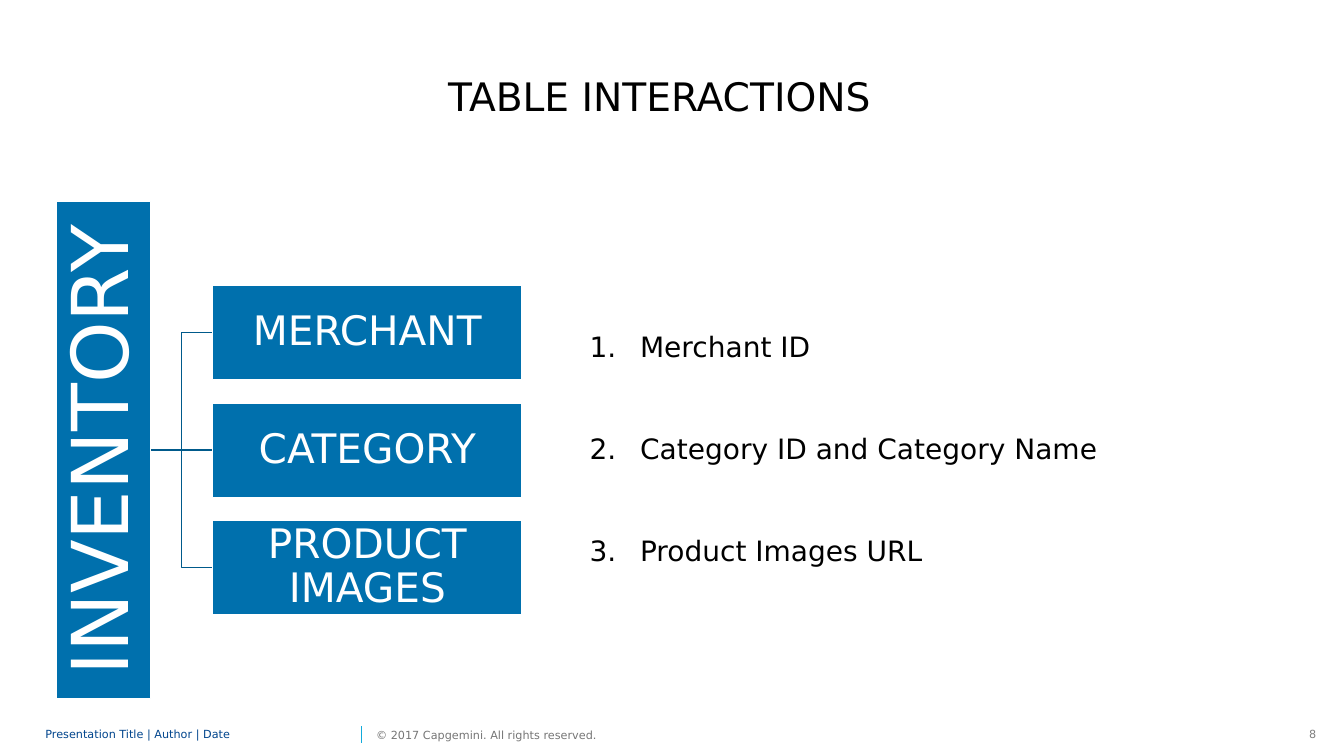
from lxml.etree import SubElement
from pptx import Presentation
from pptx.dml.color import RGBColor
from pptx.enum.shapes import MSO_CONNECTOR, MSO_SHAPE
from pptx.enum.text import MSO_ANCHOR, MSO_AUTO_SIZE, PP_ALIGN
from pptx.oxml.ns import qn
from pptx.util import Pt

FONT = "DejaVu Sans"
COLORS = {
    "box": "0070AD", "branch": "005A8B", "white": "FFFFFF", "black": "000000",
    "divider": "12ABDB", "footer": "00458D", "copyright": "767676", "number": "808080",
}


def color(name):
    return RGBColor.from_string(COLORS[name])


def style(paragraph, size, ink, align=PP_ALIGN.LEFT, spacing=1.0):
    paragraph.alignment = align
    paragraph.line_spacing = spacing
    paragraph.space_before = paragraph.space_after = Pt(0)
    font = paragraph.font
    font.name, font.size, font.color.rgb = FONT, Pt(size), color(ink)


def set_frame(frame, inset=None, anchor=MSO_ANCHOR.MIDDLE, wrap=True):
    frame.word_wrap, frame.vertical_anchor = wrap, anchor
    frame.auto_size = MSO_AUTO_SIZE.NONE
    if inset is not None:
        frame.margin_left = frame.margin_right = Pt(inset)
        frame.margin_top = frame.margin_bottom = Pt(inset)


def place(shape, left, top, width, height):
    shape.left, shape.top = Pt(left), Pt(top)
    shape.width, shape.height = Pt(width), Pt(height)


def add_title(slide, text, box):
    title = slide.shapes.title
    place(title, *box)
    set_frame(title.text_frame)
    title.text_frame.text = text
    style(title.text_frame.paragraphs[0], 28, "black", PP_ALIGN.CENTER)


def add_line(slide, kind, start, end, ink):
    line = slide.shapes.add_connector(kind, *map(Pt, start + end))
    line.line.color.rgb, line.line.width = color(ink), Pt(1)
    SubElement(line._element.spPr, qn("a:effectLst"))


def add_node(slide, text, box, size, inset, rotation=0):
    node = slide.shapes.add_shape(MSO_SHAPE.RECTANGLE, *map(Pt, box))
    node.rotation = rotation
    node.shadow.inherit = False
    node.fill.solid()
    node.fill.fore_color.rgb = color("box")
    node.line.color.rgb, node.line.width = color("white"), Pt(1)
    set_frame(node.text_frame, inset)
    node.text_frame.text = text
    style(node.text_frame.paragraphs[0], size, "white", PP_ALIGN.CENTER, 0.9)


def add_hierarchy(slide, root, tables, box):
    """Upright root bar on the left, linked to a column of table boxes."""
    left, top, width, height = box
    thick, pitch, branch = 67.5, 84, 44.5
    middle = top + height / 2
    table_left = left + thick + branch
    centers = [middle + (i - (len(tables) - 1) / 2) * pitch for i in range(len(tables))]

    # Branches
    for center in centers:
        kind = MSO_CONNECTOR.STRAIGHT if center == middle else MSO_CONNECTOR.ELBOW
        add_line(slide, kind, (left + thick, middle), (table_left, center), "branch")

    # Root bar, turned to read upwards
    root_box = (left + (thick - height) / 2, middle - thick / 2, height, thick)
    add_node(slide, root, root_box, 56, 2.9, 270)

    # Table boxes
    for table, center in zip(tables, centers):
        table_box = (table_left, center - thick / 2, left + width - table_left, thick)
        add_node(slide, table, table_box, 29, 1.4)


def add_keys(slide, keys, box):
    """Numbered list of the fields that link the tables."""
    body = slide.placeholders[1]
    place(body, *box)
    frame = body.text_frame
    set_frame(frame, anchor=MSO_ANCHOR.TOP)
    frame.text = "\n".join(keys)
    for i, paragraph in enumerate(frame.paragraphs):
        properties = paragraph._p.get_or_add_pPr()
        properties.set("marL", str(Pt(36)))
        properties.set("indent", str(-Pt(36)))
        SubElement(properties, qn("a:buFont"), typeface="+mj-lt")
        SubElement(properties, qn("a:buAutoNum"), type="arabicPeriod")
        style(paragraph, 20, "black")
        if i:
            paragraph.space_before = Pt(48.8)


def add_footer(slide, box):
    left, top, width, height = box

    def add_note(text, x, note_width, ink, inset=0, align=PP_ALIGN.LEFT,
                 anchor=MSO_ANCHOR.MIDDLE, wrap=False, spacing=1.0):
        note = slide.shapes.add_textbox(Pt(x), Pt(top), Pt(note_width), Pt(height))
        set_frame(note.text_frame, inset, anchor, wrap)
        note.text_frame.text = text
        style(note.text_frame.paragraphs[0], 8, ink, align, spacing)

    add_note("Presentation Title | Author | Date", left, 222.5, "footer",
             wrap=True, spacing=0.85)
    divider = left + 226
    add_line(slide, MSO_CONNECTOR.STRAIGHT, (divider, top + 14.4), (divider, top + 2.2),
             "divider")
    add_note("© 2017 Capgemini. All rights reserved.", left + 236.2, 175, "copyright")
    add_note("8", left + width - 19.4, 19.4, "number", None, PP_ALIGN.RIGHT, MSO_ANCHOR.TOP)


def main():
    deck = Presentation()
    deck.slide_width, deck.slide_height = Pt(960), Pt(540)
    slide = deck.slides.add_slide(deck.slide_layouts[1])
    add_footer(slide, (32.4, 516.2, 915, 17.3))
    add_hierarchy(slide, "INVENTORY", ["MERCHANT", "CATEGORY", "PRODUCT IMAGES"],
                  (40, 144, 333, 355))
    add_keys(slide, ["Merchant ID", "Category ID and Category Name", "Product Images URL"],
             (414, 231.5, 438, 177))
    add_title(slide, "TABLE INTERACTIONS", (162, 48.2, 618, 41))
    deck.save("out.pptx")


if __name__ == "__main__":
    main()
